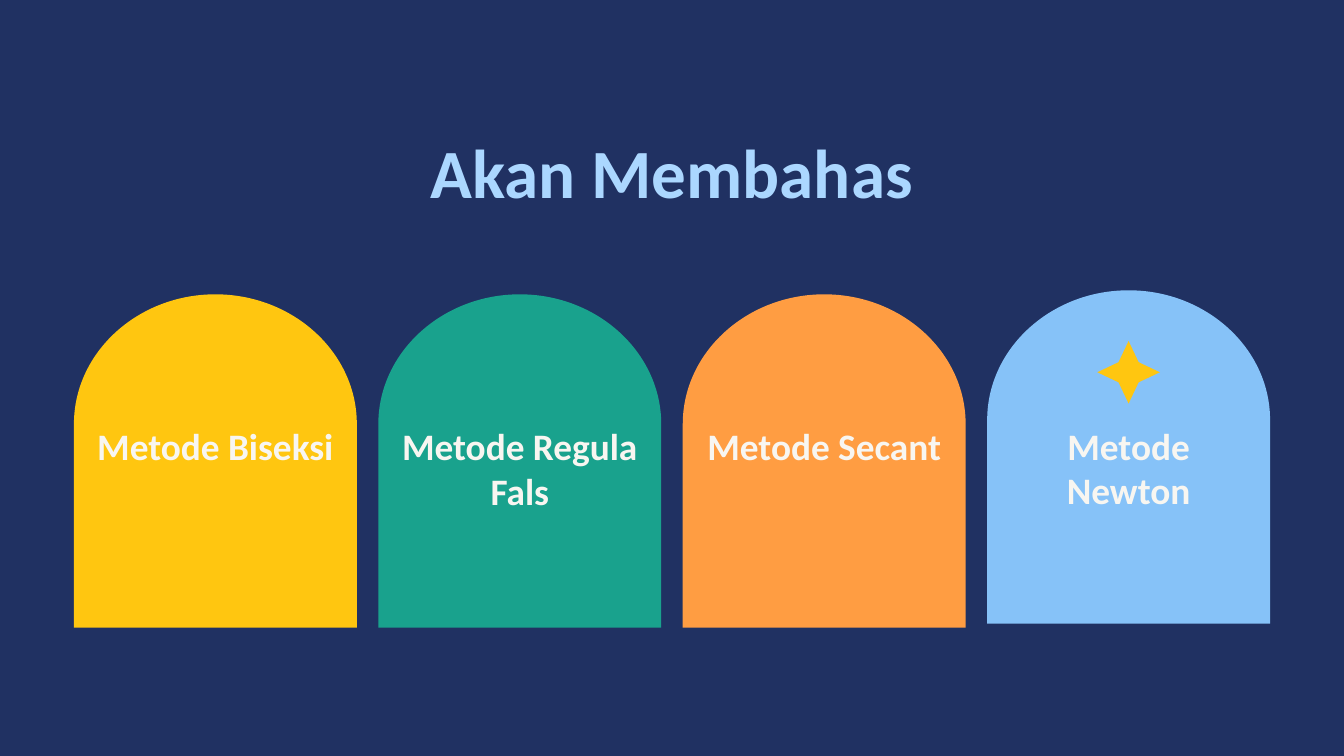
from dataclasses import dataclass

from lxml import etree
from pptx import Presentation
from pptx import util as u
from pptx.dml import color
from pptx.enum import text
from pptx.oxml import ns


@dataclass(frozen=True)
class Theme:
    font: str = "Calibri"
    background: str = "203162"
    title: str = "ABD7FF"
    label: str = "F8F6F1"
    yellow: str = "FFC610"
    green: str = "19A28D"
    orange: str = "FF9D42"
    blue: str = "86C2F8"
    title_size: int = 74
    label_size: int = 40


THEME = Theme()
ARCH_WIDTH, ARCH_HEIGHT, DOME_HEIGHT = 4.21, 4.96, 1.93
ARCH_LEFT, ARCH_PITCH = 1.1, 4.53
CURVE = 0.55
LABEL_WIDTH, LABEL_HEIGHT = 3.56, 1.44
STAR_RADIUS, STAR_NOTCH = 0.465, 0.15
METHODS = [
    ("Metode Biseksi", THEME.yellow, 4.38, 6.3),
    ("Metode Regula Fals", THEME.green, 4.38, 6.3),
    ("Metode Secant", THEME.orange, 4.38, 6.3),
    ("Metode Newton", THEME.blue, 4.32, 6.29),
]


def rgb(value):
    return color.RGBColor.from_string(value)


def place(shape, left, top, width, height):
    shape.left, shape.top = u.Inches(left), u.Inches(top)
    shape.width, shape.height = u.Inches(width), u.Inches(height)


def write(shape, wording, *, size, fill, spacing):
    frame = shape.text_frame
    frame.word_wrap = True
    frame.auto_size = text.MSO_AUTO_SIZE.SHAPE_TO_FIT_TEXT
    frame.vertical_anchor = text.MSO_ANCHOR.TOP
    frame.margin_left = frame.margin_right = 0
    frame.margin_top = frame.margin_bottom = 0
    paragraph = frame.paragraphs[0]
    paragraph.alignment = text.PP_ALIGN.CENTER
    paragraph.line_spacing = u.Pt(spacing)
    run = paragraph.add_run()
    run.text = wording
    run.font.name = THEME.font
    run.font.size = u.Pt(size)
    run.font.bold = True
    run.font.color.rgb = rgb(fill)


def add_outline(slide, points, fill):
    start, *rest = [(u.Inches(x), u.Inches(y)) for x, y in points]
    builder = slide.shapes.build_freeform(*start)
    builder.add_line_segments(rest, close=True)
    shape = builder.convert_to_shape()
    shape.shadow.inherit = False
    shape.fill.solid()
    shape.fill.fore_color.rgb = rgb(fill)
    shape.line.fill.background()
    return shape


def bend(shape, first):
    lines = list(shape.element.iter(ns.qn("a:lnTo")))[first:first + 3]
    curve = etree.Element(ns.qn("a:cubicBezTo"))
    lines[0].addprevious(curve)
    for line in lines:
        curve.append(line[0])
        line.getparent().remove(line)


def add_title(slide, wording):
    title = slide.shapes.title
    place(title, 4.25, 1.92, 11.5, 1.46)
    write(title, wording, size=THEME.title_size, fill=THEME.title, spacing=88.8)


def add_arch(slide, left, top, fill):
    center, right = left + ARCH_WIDTH / 2, left + ARCH_WIDTH
    shoulder, bottom = top + DOME_HEIGHT, top + ARCH_HEIGHT
    reach_x, reach_y = CURVE * ARCH_WIDTH / 2, CURVE * DOME_HEIGHT
    arch = add_outline(slide, [
        (left, bottom), (left, shoulder),
        (left, shoulder - reach_y), (center - reach_x, top), (center, top),
        (center + reach_x, top), (right, shoulder - reach_y), (right, shoulder),
        (right, bottom),
    ], fill)
    bend(arch, 4)
    bend(arch, 1)


def add_label(slide, center, top, wording):
    label = slide.shapes.add_textbox(0, 0, 0, 0)
    place(label, center - LABEL_WIDTH / 2, top, LABEL_WIDTH, LABEL_HEIGHT)
    write(label, wording, size=THEME.label_size, fill=THEME.label, spacing=48)


def add_star(slide, center, middle):
    points = []
    for x, y in [(0, -1), (1, 0), (0, 1), (-1, 0)]:
        points.append((center + STAR_RADIUS * x, middle + STAR_RADIUS * y))
        points.append((center + STAR_NOTCH * (x - y), middle + STAR_NOTCH * (x + y)))
    add_outline(slide, points, THEME.yellow)


def main():
    presentation = Presentation()
    presentation.slide_width = u.Inches(20)
    presentation.slide_height = u.Inches(11.25)
    slide = presentation.slides.add_slide(presentation.slide_layouts[5])
    slide.background.fill.solid()
    slide.background.fill.fore_color.rgb = rgb(THEME.background)

    add_title(slide, "Akan Membahas")
    for index, (name, fill, arch_top, label_top) in enumerate(METHODS):
        left = ARCH_LEFT + index * ARCH_PITCH
        center = left + ARCH_WIDTH / 2
        add_arch(slide, left, arch_top, fill)
        add_label(slide, center, label_top, name)
    add_star(slide, center, 5.54)

    presentation.save("out.pptx")


if __name__ == "__main__":
    main()
